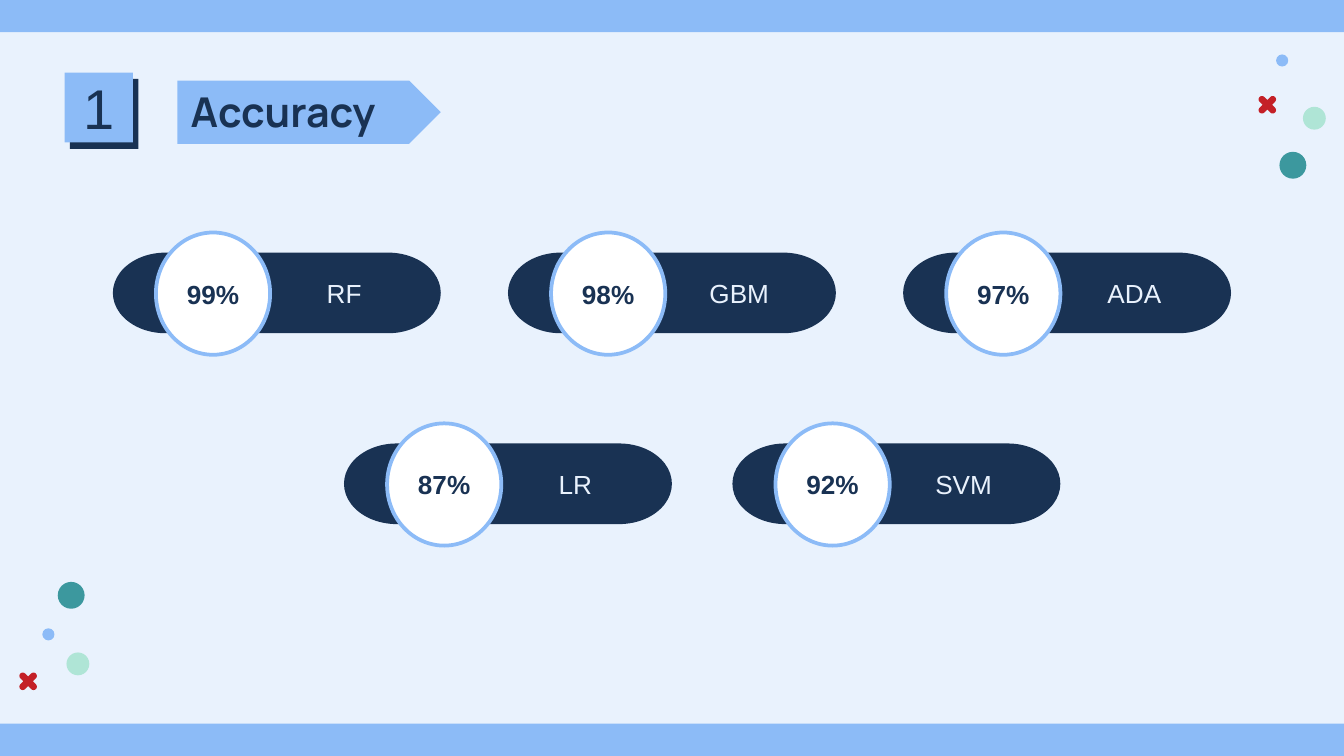
from dataclasses import dataclass
from math import cos, pi, sin, sqrt

from lxml.etree import SubElement
from pptx import Presentation
from pptx.dml.color import RGBColor
from pptx.enum.shapes import MSO_SHAPE
from pptx.enum.text import MSO_ANCHOR, PP_ALIGN
from pptx.oxml.ns import qn
from pptx.util import Inches, Pt


@dataclass(frozen=True)
class Theme:
    """Colours, fonts and type sizes of the slide."""
    background: str = "E9F2FD"
    sky: str = "8CBBF7"
    navy: str = "193253"
    white: str = "FFFFFF"
    teal: str = "3C989E"
    mint: str = "AFE5D6"
    red: str = "C42027"
    heading_font: str = "Manrope"
    body_font: str = "Arial"
    number_size: int = 30
    title_size: int = 22
    body_size: int = 14


THEME = Theme()


def paint(shape, fill):
    """Give a shape a plain fill with neither outline nor shadow."""
    shape.shadow.inherit = False
    shape.fill.solid()
    shape.fill.fore_color.rgb = RGBColor.from_string(fill)
    shape.line.fill.background()
    return shape


def add_block(slide, kind, left, top, width, height, fill):
    """Add a painted preset shape measured in inches."""
    return paint(slide.shapes.add_shape(
        kind, Inches(left), Inches(top), Inches(width), Inches(height)), fill)


def write(shape, text, size, color, font=THEME.body_font, bold=False,
          align=PP_ALIGN.CENTER, anchor=MSO_ANCHOR.MIDDLE, margins=(0, 0, 0, 0)):
    """Put one styled paragraph in a shape; margins run left, top, right, bottom."""
    frame = shape.text_frame
    frame.word_wrap = True
    frame.vertical_anchor = anchor
    (frame.margin_left, frame.margin_top,
     frame.margin_right, frame.margin_bottom) = map(Inches, margins)
    paragraph = frame.paragraphs[0]
    paragraph.text = text
    paragraph.alignment = align
    paragraph.font.name = font
    paragraph.font.size = Pt(size)
    paragraph.font.bold = bold
    paragraph.font.color.rgb = RGBColor.from_string(color)


def add_hard_shadow(shape, color, distance, degrees):
    """Cast a sharp, opaque shadow at a distance in points."""
    effects = shape._element.spPr.find(qn("a:effectLst"))
    shadow = SubElement(effects, qn("a:outerShdw"), blurRad="0", dist=str(Pt(distance)),
                        dir=str(degrees * 60000), algn="bl", rotWithShape="0")
    SubElement(shadow, qn("a:srgbClr"), val=color)


def add_cross(slide, center_x, center_y, reach=0.04, radius=0.025, steps=8):
    """Draw a diagonal cross with rounded arm ends."""
    def polar(x, y, distance, angle):
        return x + distance * cos(angle), y + distance * sin(angle)

    outline = []
    for arm in range(4):
        angle = pi / 4 + arm * pi / 2
        tip = polar(center_x, center_y, reach * sqrt(2), angle)
        outline += [polar(*tip, radius, angle - pi / 2 + pi * step / steps)
                    for step in range(steps + 1)]
        outline.append(polar(center_x, center_y, radius * sqrt(2), angle + pi / 4))
    corners = [(Inches(x), Inches(y)) for x, y in outline]
    builder = slide.shapes.build_freeform(*corners[0])
    builder.add_line_segments(corners[1:], close=True)
    paint(builder.convert_to_shape(), THEME.red)


def add_confetti(slide, left, top, mint, sky, teal, cross):
    """Scatter three dots and a cross, each centred relative to the corner box."""
    dots = ((mint, 0.17, THEME.mint), (sky, 0.09, THEME.sky), (teal, 0.2, THEME.teal))
    for (x, y), diameter, color in dots:
        add_block(slide, MSO_SHAPE.OVAL, left + x - diameter / 2, top + y - diameter / 2,
                  diameter, diameter, color)
    add_cross(slide, left + cross[0], top + cross[1])


def add_bands(slide, width, height, thickness=0.24):
    """Run a band along the top and the bottom edge."""
    for top in (0, height - thickness):
        add_block(slide, MSO_SHAPE.RECTANGLE, 0, top, width, thickness, THEME.sky)


def add_heading(slide, left, top, number, title):
    """Place the title on its arrow tag and the numbered tile before it."""
    add_block(slide, MSO_SHAPE.PENTAGON, left + 0.84, top + 0.06, 1.96, 0.47, THEME.sky)
    title_box = slide.shapes.add_textbox(
        Inches(left + 0.84), Inches(top), Inches(7.77), Inches(0.53))
    write(title_box, title, THEME.title_size, THEME.navy, THEME.heading_font, True,
          PP_ALIGN.LEFT, MSO_ANCHOR.TOP, (0.1,) * 4)
    tile = add_block(slide, MSO_SHAPE.RECTANGLE, left, top, 0.51, 0.52, THEME.sky)
    add_hard_shadow(tile, THEME.navy, 4.5, 50)
    write(tile, number, THEME.number_size, THEME.navy, margins=(0.1,) * 4)


def add_score(slide, left, top, model, accuracy):
    """Place a model pill with its accuracy in a circle."""
    pill = add_block(slide, MSO_SHAPE.FLOWCHART_TERMINATOR, left, top, 2.44, 0.6, THEME.navy)
    write(pill, model, THEME.body_size, THEME.background, margins=(1.1, 0.05, 0.1, 0.05))
    badge = add_block(slide, MSO_SHAPE.OVAL, left + 0.32, top - 0.15, 0.85, 0.91, THEME.white)
    badge.line.color.rgb = RGBColor.from_string(THEME.sky)
    badge.line.width = Pt(2)
    write(badge, accuracy, THEME.body_size, THEME.navy, bold=True)


def add_score_row(slide, left, top, pitch, scores):
    """Lay scores out in a row at an even pitch."""
    for column, (model, accuracy) in enumerate(scores):
        add_score(slide, left + column * pitch, top, model, accuracy)


def main():
    """Build the accuracy slide and save it."""
    width = 10
    height = width * 9 / 16
    deck = Presentation()
    deck.slide_width, deck.slide_height = Inches(width), Inches(height)
    slide = deck.slides.add_slide(deck.slide_layouts[6])
    slide.background.fill.solid()
    slide.background.fill.fore_color.rgb = RGBColor.from_string(THEME.background)

    add_confetti(slide, 9.36, 0.4, mint=(0.42, 0.48), sky=(0.18, 0.05),
                 teal=(0.26, 0.83), cross=(0.07, 0.38))
    add_confetti(slide, 0.14, 4.33, mint=(0.44, 0.61), sky=(0.22, 0.39),
                 teal=(0.39, 0.1), cross=(0.07, 0.74))
    add_bands(slide, width, height)
    add_heading(slide, 0.48, 0.54, "1", "Accuracy")
    add_score_row(slide, 0.84, 1.88, 2.94, (("RF", "99%"), ("GBM", "98%"), ("ADA", "97%")))
    add_score_row(slide, 2.56, 3.3, 2.89, (("LR", "87%"), ("SVM", "92%")))
    deck.save("out.pptx")


if __name__ == "__main__":
    main()
